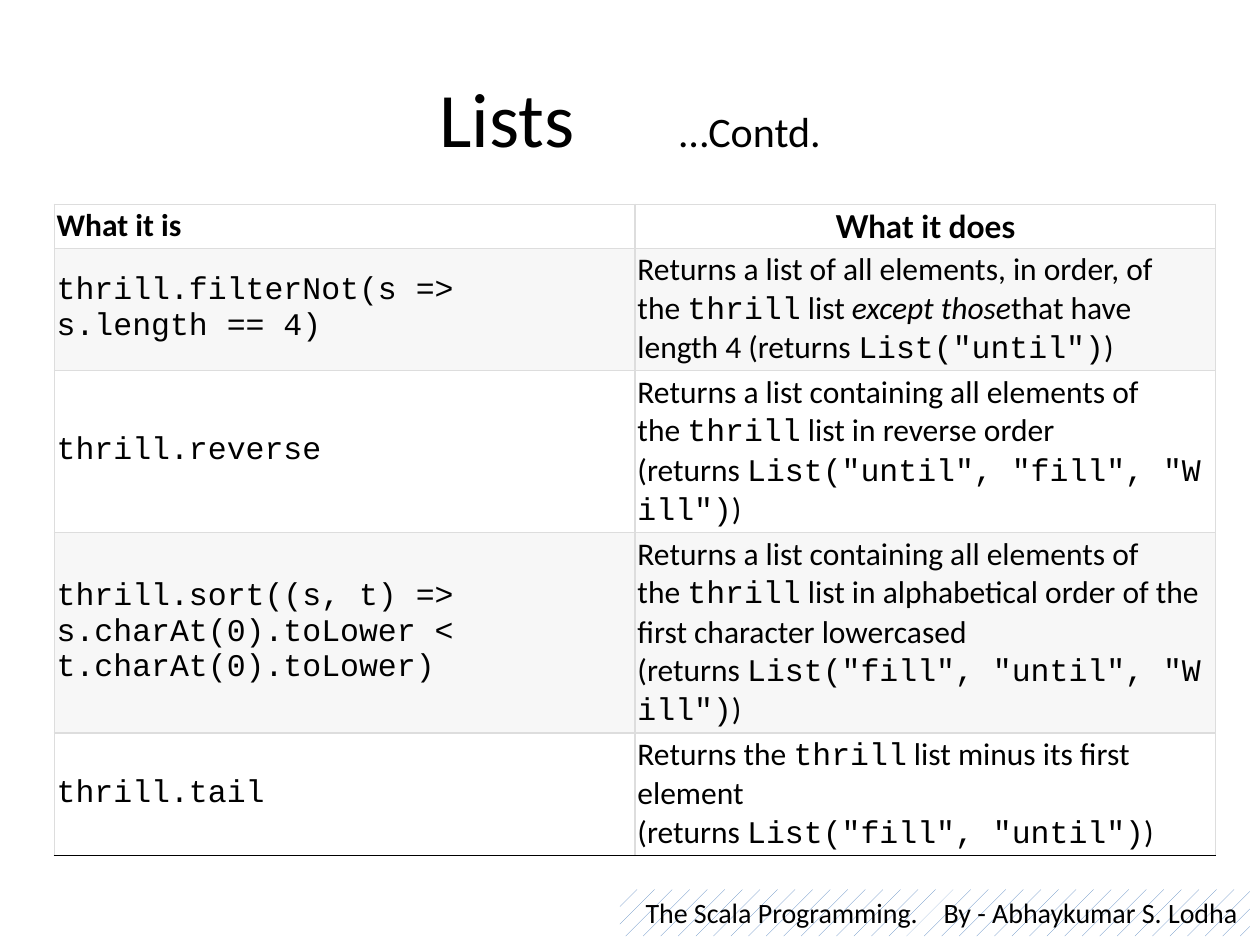
import pptx
import pptx.dml.color
import pptx.enum.dml
import pptx.enum.shapes
import pptx.enum.text
import pptx.oxml
import pptx.oxml.ns
import pptx.util

Inches = pptx.util.Inches
Pt = pptx.util.Pt
RGBColor = pptx.dml.color.RGBColor
Align = pptx.enum.text.PP_ALIGN
Anchor = pptx.enum.text.MSO_ANCHOR

BLACK = RGBColor(0x00, 0x00, 0x00)
WHITE = RGBColor(0xFF, 0xFF, 0xFF)
STRIPE = RGBColor(0xF7, 0xF7, 0xF7)
BORDER = RGBColor(0xDD, 0xDD, 0xDD)
BLUE = RGBColor(0x4F, 0x81, 0xBD)
HARD_SPACE = chr(160)

HEADERS = [("What it is", "Calibri", Align.LEFT), ("What it does", "Lato", Align.CENTER)]
METHODS = [
    ("`thrill.filterNot(s~=>\ns.length~==~4)`",
     "Returns a list of all elements, in order, of the~`thrill`~list~*except those*"
     "that have length 4 (returns~`List(\"until\")`)"),
    ("`thrill.reverse`",
     "Returns a list containing all elements of the~`thrill`~list in reverse order "
     "(returns~`List(\"until\",~\"fill\",~\"Will\")`)"),
    ("`thrill.sort((s,~t)~=>\ns.charAt(0).toLower~<\nt.charAt(0).toLower)`",
     "Returns a list containing all elements of the~`thrill`~list in alphabetical order "
     "of the first character lowercased (returns~`List(\"fill\",~\"until\",~\"Will\")`)"),
    ("`thrill.tail`",
     "Returns the~`thrill`~list minus its first element "
     "(returns~`List(\"fill\",~\"until\")`)"),
]
ROW_HEIGHTS = [0.35, 0.96, 1.28, 1.59, 0.96]


class SlideBuilder:
    body_font = "Calibri"
    code_font = "Courier New"
    text_size = 18
    cell_inset = Inches(0.02)

    def __init__(self, page):
        self.page = page

    def style(self, font, size, name=body_font):
        font.name = name
        font.size = Pt(size)
        font.color.rgb = BLACK

    def spaced_text(self, para, before, after, gap):
        spans = []
        for text in (before, " ", after):
            span = para.add_run()
            span.text = text
            spans.append(span)
        spans[1].font._element.set("spc", str(gap * 100))
        return spans

    def title(self, heading, suffix):
        box = self.page.shapes.title
        box.left, box.top = Inches(0.5), Inches(0.3)
        box.width, box.height = Inches(9), Inches(1.25)
        box.text_frame.vertical_anchor = Anchor.MIDDLE
        para = box.text_frame.paragraphs[0]
        para.alignment = Align.CENTER
        spans = self.spaced_text(para, heading, suffix, 50)
        for span, size in zip(spans, (44, 44, 24)):
            self.style(span.font, size)

    def footer(self, subject, author):
        box = self.page.shapes.add_shape(
            pptx.enum.shapes.MSO_SHAPE.RECTANGLE,
            Inches(4.92), Inches(7.06), Inches(5), Inches(0.37))
        box.shadow.inherit = False
        box.line.fill.background()
        box.fill.patterned()
        box.fill.pattern = pptx.enum.dml.MSO_PATTERN.PERCENT_5
        box.fill.fore_color.rgb = BLUE
        box.fill.back_color.rgb = WHITE
        box.text_frame.word_wrap = True
        box.text_frame.vertical_anchor = Anchor.TOP
        para = box.text_frame.paragraphs[0]
        para.alignment = Align.RIGHT
        self.style(para.font, 16)
        self.spaced_text(para, subject, author, 11)

    def border(self, cell, side, color):
        line = pptx.oxml.parse_xml(
            f'<a:{side} {pptx.oxml.ns.nsdecls("a")} w="{Pt(0.75)}">'
            f'<a:solidFill><a:srgbClr val="{color}"/></a:solidFill></a:{side}>')
        cell._tc.get_or_add_tcPr().append(line)

    def format_cell(self, cell, fill, last):
        for side in ("lnL", "lnR", "lnT", "lnB"):
            self.border(cell, side, BLACK if last and side == "lnB" else BORDER)
        cell.fill.solid()
        cell.fill.fore_color.rgb = fill
        cell.vertical_anchor = Anchor.MIDDLE
        cell.margin_left = cell.margin_right = self.cell_inset
        cell.margin_top = cell.margin_bottom = self.cell_inset

    def marked_text(self, para, text):
        text = text.replace("~", HARD_SPACE)
        for code_index, part in enumerate(text.split("`")):
            name = self.code_font if code_index % 2 else self.body_font
            for italic_index, piece in enumerate(part.split("*")):
                for line_index, line in enumerate(piece.split("\n")):
                    if line_index:
                        para.add_line_break()
                    if line:
                        span = para.add_run()
                        span.text = line
                        self.style(span.font, self.text_size, name)
                        span.font.bold = False
                        span.font.italic = italic_index % 2 == 1

    def table(self, headers, rows, heights):
        frame = self.page.shapes.add_table(
            len(heights), len(headers),
            Inches(0.43), Inches(1.62), Inches(9.22), Inches(sum(heights)))
        table = frame.table
        table.first_row = table.horz_banding = False
        for row, height in zip(table.rows, heights):
            row.height = Inches(height)
        for index, row in enumerate(table.rows):
            for cell in row.cells:
                self.format_cell(cell, STRIPE if index % 2 else WHITE,
                                 index == len(rows))
        for cell, (text, name, alignment) in zip(table.rows[0].cells, headers):
            cell.text = text
            para = cell.text_frame.paragraphs[0]
            para.alignment = alignment
            self.style(para.font, self.text_size, name)
            para.font.bold = True
        for index, texts in enumerate(rows, 1):
            for cell, text in zip(table.rows[index].cells, texts):
                self.marked_text(cell.text_frame.paragraphs[0], text)


def main():
    deck = pptx.Presentation()
    deck.slide_width, deck.slide_height = Inches(10), Inches(7.5)
    builder = SlideBuilder(deck.slides.add_slide(deck.slide_layouts[5]))
    builder.footer("The Scala Programming.", "By - Abhaykumar S. Lodha")
    builder.title("Lists", "…Contd.")
    builder.table(HEADERS, METHODS, ROW_HEIGHTS)
    deck.save("out.pptx")


if __name__ == "__main__":
    main()
